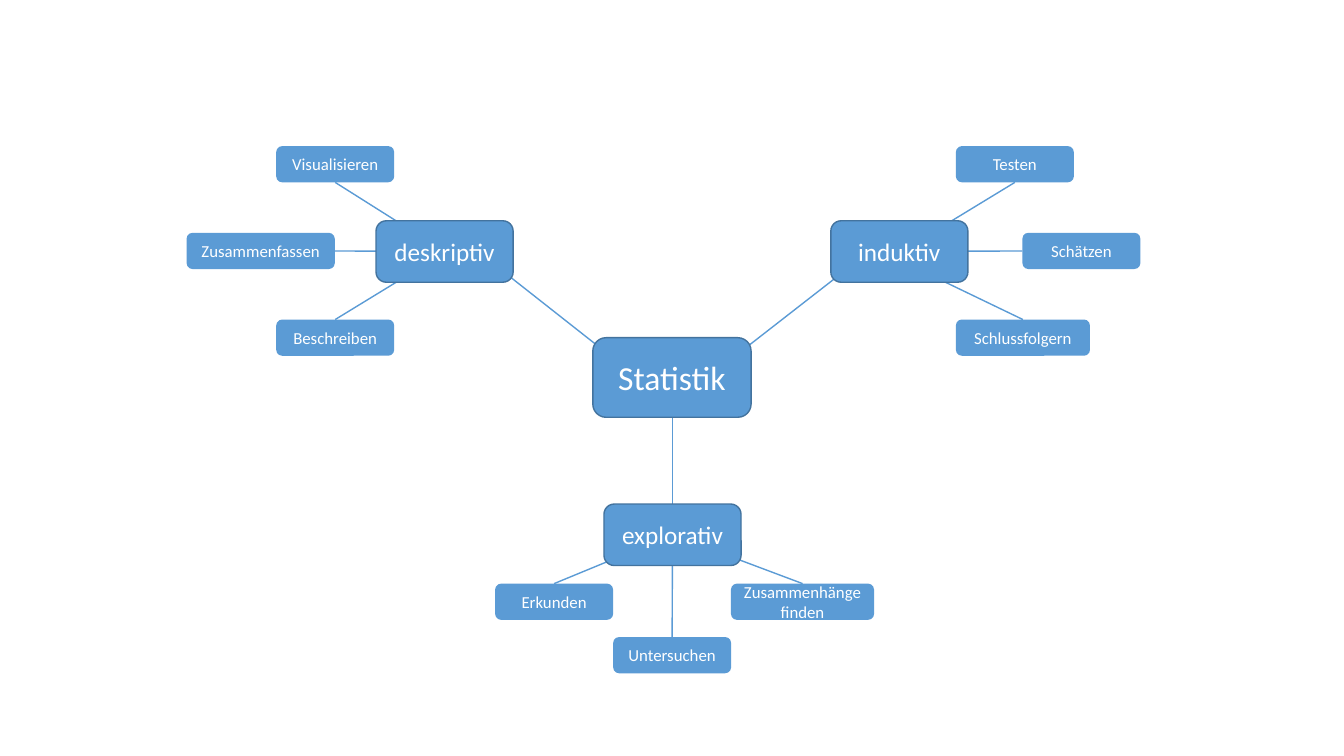
from lxml import etree
from pptx import Presentation
from pptx import util as u
from pptx.dml import color
from pptx.enum import shapes, text
from pptx.oxml import ns

COLORS = {"fill": "5B9BD5", "edge": "5B9BD5", "border": "43739E", "text": "FFFFFF"}
LEVELS = {
    "root": {"size": u.Pt(24), "border": True},
    "hub": {"size": u.Pt(18), "border": True},
    "leaf": {"size": u.Pt(12), "border": False},
}
HUB_W, HUB_H = 10.2, 8.13
LEAF_W, LEAF_H = 8.78, 4.8
LEAF_ROW, LEAF_STEP = 1.6, 11.47
SIDES = {"top": (0.5, 0), "bottom": (0.5, 1), "left": (0, 0.5), "right": (1, 0.5)}

prs = Presentation()
prs.slide_width, prs.slide_height = u.Inches(13.33), u.Inches(7.5)
s = prs.slides.add_slide(prs.slide_layouts[6])


def rgb(name):
    return color.RGBColor.from_string(COLORS[name])


def share(x, y):
    return round(prs.slide_width * x / 100), round(prs.slide_height * y / 100)


def point(box, fx, fy):
    x, y, w, h = box
    return x + w * fx, y + h * fy


def add_edge(start, end):
    c = s.shapes.add_connector(shapes.MSO_CONNECTOR.STRAIGHT, *share(*start), *share(*end))
    c.line.color.rgb = rgb("edge")
    c.line.width = u.Pt(1)
    etree.SubElement(c._element.spPr, ns.qn("a:effectLst"))


def add_node(label, box, level):
    style = LEVELS[level]
    sp = s.shapes.add_shape(shapes.MSO_SHAPE.ROUNDED_RECTANGLE, *share(*box[:2]), *share(*box[2:]))
    sp.shadow.inherit = False
    sp.fill.solid()
    sp.fill.fore_color.rgb = rgb("fill")
    if style["border"]:
        sp.line.color.rgb = rgb("border")
        sp.line.width = u.Pt(1)
    else:
        sp.line.fill.background()
    tf = sp.text_frame
    tf.word_wrap = True
    tf.vertical_anchor = text.MSO_ANCHOR.MIDDLE
    p = tf.paragraphs[0]
    p.alignment = text.PP_ALIGN.CENTER
    r = p.add_run()
    r.text = label
    for key, value in {"name": "Calibri", "size": style["size"]}.items():
        setattr(r.font, key, value)
    r.font.color.rgb = rgb("text")


def add_branch(label, box, leaves):
    placed = [(name, (box[0] + dx, box[1] + dy, w, LEAF_H), side, start)
              for name, dx, dy, w, side, start in leaves]
    for name, leaf, side, start in placed:
        add_edge(point(box, 0.5, start), point(leaf, *SIDES[side]))
    add_node(label, box, "hub")
    for name, leaf, side, start in placed:
        add_node(name, leaf, "leaf")


def add_root(label, box, edges):
    for start, end in edges:
        add_edge(start, end)
    add_node(label, box, "root")


upper, middle, lower = (LEAF_ROW + LEAF_STEP * k for k in (-1, 0, 1))

add_root("Statistik", (44.11, 44.67, 11.78, 10.53), [
    ((44.94, 46.4), (37.13, 35.47)),
    ((55.59, 45.87), (62.34, 36.53)),
    ((50.04, 55.2), (50.04, 66.67)),
])
add_branch("deskriptiv", (27.98, 29.2, HUB_W, HUB_H), [
    ("Beschreiben", -7.43, lower, LEAF_W, "top", 0.52),
    ("Zusammenfassen", -14.1, middle, 11.03, "right", 0.5),
    ("Visualisieren", -7.43, upper, LEAF_W, "bottom", 0.5),
])
add_branch("explorativ", (44.94, 66.67, HUB_W, HUB_H), [
    ("Untersuchen", 0.68, 17.6, LEAF_W, "top", 0.5),
    ("Erkunden", -8.1, 10.53, LEAF_W, "top", 0.5),
    ("Zusammenhänge finden", 9.45, 10.53, 10.65, "top", 0.5),
])
add_branch("induktiv", (61.82, 29.2, HUB_W, HUB_H), [
    ("Schätzen", 14.25, middle, LEAF_W, "left", 0.5),
    ("Testen", 9.3, upper, LEAF_W, "bottom", 0.52),
    ("Schlussfolgern", 9.3, lower, 9.98, "top", 0.64),
])

prs.save("out.pptx")
